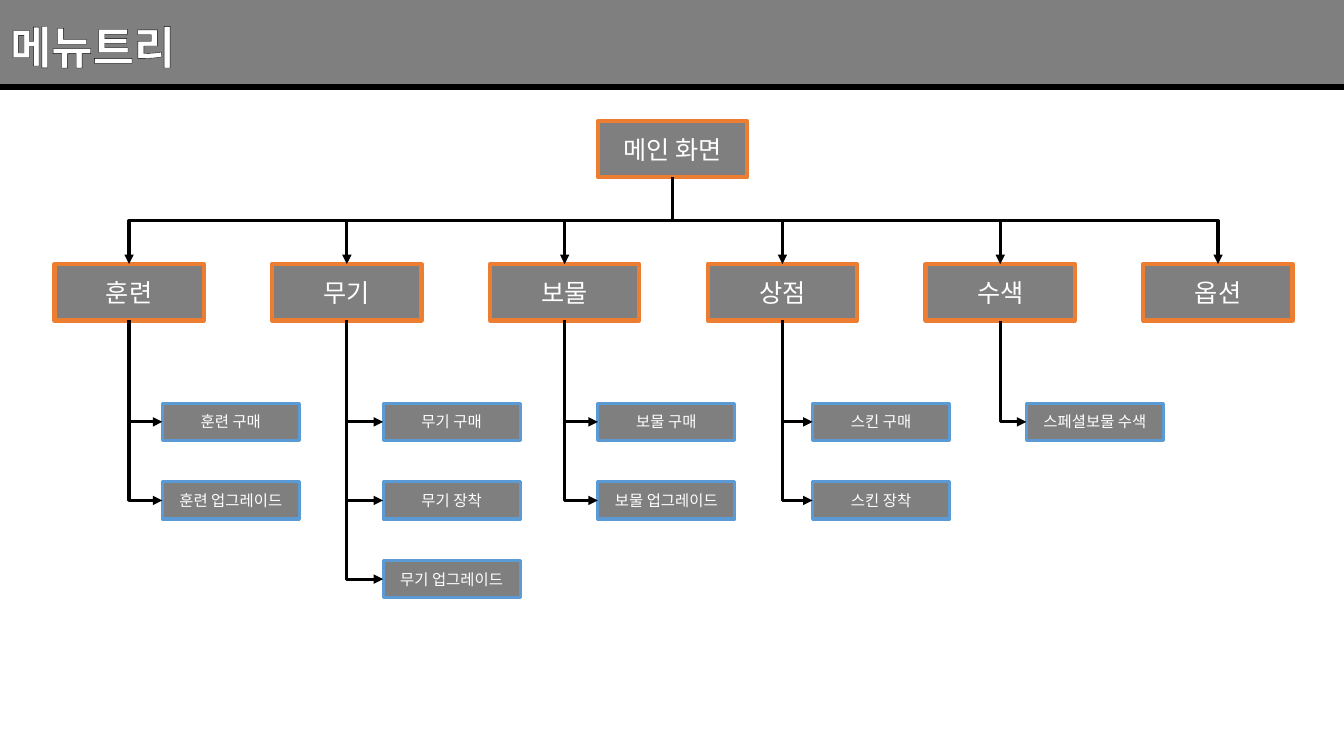
from dataclasses import dataclass

from lxml import etree
from pptx import Presentation
from pptx.dml.color import RGBColor
from pptx.enum import shapes, text
from pptx.oxml.ns import qn
from pptx.util import Inches, Pt


@dataclass(frozen=True)
class Theme:
    font: str = "Noto Sans CJK KR"
    black: RGBColor = RGBColor(0x00, 0x00, 0x00)
    white: RGBColor = RGBColor(0xFF, 0xFF, 0xFF)
    gray: RGBColor = RGBColor(0x7F, 0x7F, 0x7F)
    orange: RGBColor = RGBColor(0xED, 0x7D, 0x31)
    blue: RGBColor = RGBColor(0x5B, 0x9B, 0xD5)
    title_size: float = 32
    menu_size: float = 18
    item_size: float = 11
    arrow_width: float = 2.25


@dataclass(frozen=True)
class BoxStyle:
    width: float
    height: float
    border: RGBColor
    border_width: float
    size: float


@dataclass(frozen=True)
class Menu:
    name: str
    items: tuple[str, ...] = ()
    items_left: float = 0


THEME = Theme()
MENU_STYLE = BoxStyle(1.48, 0.56, THEME.orange, 3, THEME.menu_size)
ITEM_STYLE = BoxStyle(1.36, 0.37, THEME.blue, 2.25, THEME.item_size)
MENUS = (
    Menu("훈련", ("훈련 구매", "훈련 업그레이드"), 1.61),
    Menu("무기", ("무기 구매", "무기 장착", "무기 업그레이드"), 3.8),
    Menu("보물", ("보물 구매", "보물 업그레이드"), 5.93),
    Menu("상점", ("스킨 구매", "스킨 장착"), 8.06),
    Menu("수색", ("스페셜보물 수색",), 10.18),
    Menu("옵션"),
)
SLIDE_WIDTH, SLIDE_HEIGHT = 13.33, 7.5
BAND_HEIGHT = 0.86
MENU_LEFT, MENU_TOP, MENU_STEP = 0.54, 2.62, 2.16
ITEM_TOP, ITEM_STEP = 4, 0.78
TOP_SITE, LEFT_SITE, BOTTOM_SITE = 0, 1, 2


def set_font(font, size: float, bold: bool = False) -> None:
    """Apply the theme font to Latin and Korean glyphs alike."""
    font.name, font.size, font.bold = THEME.font, Pt(size), bold
    font.color.rgb = THEME.white
    etree.SubElement(font._element, qn("a:ea"), typeface=THEME.font)


def add_box(slide, label: str, left: float, top: float, style: BoxStyle):
    box = slide.shapes.add_shape(
        shapes.MSO_SHAPE.RECTANGLE,
        Inches(left), Inches(top), Inches(style.width), Inches(style.height))
    box.shadow.inherit = False
    box.fill.solid()
    box.fill.fore_color.rgb = THEME.gray
    box.line.color.rgb = style.border
    box.line.width = Pt(style.border_width)
    box.text_frame.vertical_anchor = text.MSO_ANCHOR.MIDDLE
    paragraph = box.text_frame.paragraphs[0]
    paragraph.text = label
    paragraph.alignment = text.PP_ALIGN.CENTER
    set_font(paragraph.font, style.size)
    return box


def style_line(line, width: float) -> None:
    line.line.color.rgb = THEME.black
    line.line.width = Pt(width)
    etree.SubElement(line._element.spPr, qn("a:effectLst"))


def add_arrow(slide, parent, child, site: int) -> None:
    """Draw an elbow arrow that leaves the parent's bottom downwards."""
    start_x, start_y = parent.left + parent.width // 2, parent.top + parent.height
    if site == TOP_SITE:
        end_x, end_y, preset = child.left + child.width // 2, child.top, "bentConnector3"
    else:
        end_x, end_y, preset = child.left, child.top + child.height // 2, "bentConnector2"
    arrow = slide.shapes.add_connector(
        shapes.MSO_CONNECTOR.ELBOW, start_x, start_y, end_x, end_y)
    arrow.begin_connect(parent, BOTTOM_SITE)
    arrow.end_connect(child, site)

    # A downward exit is a quarter turn, so the frame's sides are swapped.
    drop, shift = end_y - start_y, abs(end_x - start_x)
    arrow.left, arrow.top = (start_x + end_x - drop) // 2, (start_y + end_y - shift) // 2
    arrow.width, arrow.height = drop, shift
    properties = arrow._element.spPr
    frame = properties.find(qn("a:xfrm"))
    to_right = end_x > start_x
    frame.set("rot", str((270 if to_right else 90) * 60000))
    frame.set("flipH", "1" if to_right else "0")
    frame.set("flipV", "0")
    properties.find(qn("a:prstGeom")).set("prst", preset)
    style_line(arrow, THEME.arrow_width)
    etree.SubElement(arrow.line._get_or_add_ln(), qn("a:tailEnd"), type="triangle")


def add_header(slide, heading: str) -> None:
    band = slide.shapes.add_shape(
        shapes.MSO_SHAPE.RECTANGLE, 0, 0, Inches(SLIDE_WIDTH), Inches(BAND_HEIGHT))
    band.shadow.inherit = False
    band.fill.solid()
    band.fill.fore_color.rgb = THEME.black
    color = band._element.spPr.find(qn("a:solidFill"))[0]
    etree.SubElement(color, qn("a:alpha"), val="50000")
    band.line.fill.background()
    rule = slide.shapes.add_connector(
        shapes.MSO_CONNECTOR.STRAIGHT,
        0, Inches(BAND_HEIGHT), Inches(SLIDE_WIDTH), Inches(BAND_HEIGHT))
    style_line(rule, 4.5)

    title = slide.shapes.title
    title.left, title.top = Inches(0), Inches(0.14)
    title.width, title.height = Inches(5.46), Inches(0.64)
    title.text_frame.vertical_anchor = text.MSO_ANCHOR.TOP
    title.text_frame.auto_size = text.MSO_AUTO_SIZE.SHAPE_TO_FIT_TEXT
    paragraph = title.text_frame.paragraphs[0]
    paragraph.alignment = text.PP_ALIGN.LEFT
    run = paragraph.add_run()
    run.text = heading
    set_font(run.font, THEME.title_size, bold=True)
    outline = etree.Element(qn("a:ln"), w=str(Pt(1.5)))
    fill = etree.SubElement(outline, qn("a:solidFill"))
    etree.SubElement(fill, qn("a:srgbClr"), val=str(THEME.black))
    run.font._element.insert(0, outline)
    rule._element.addnext(title._element)


def add_menu_tree(slide) -> None:
    main_screen = add_box(slide, "메인 화면", 5.93, 1.2, MENU_STYLE)
    for column, menu in enumerate(MENUS):
        menu_box = add_box(
            slide, menu.name, MENU_LEFT + column * MENU_STEP, MENU_TOP, MENU_STYLE)
        add_arrow(slide, main_screen, menu_box, TOP_SITE)
        for row, item in enumerate(menu.items):
            item_box = add_box(
                slide, item, menu.items_left, ITEM_TOP + row * ITEM_STEP, ITEM_STYLE)
            add_arrow(slide, menu_box, item_box, LEFT_SITE)


def main() -> None:
    deck = Presentation()
    deck.slide_width, deck.slide_height = Inches(SLIDE_WIDTH), Inches(SLIDE_HEIGHT)
    title_only = deck.slide_layouts[5]
    slide = deck.slides.add_slide(title_only)
    add_header(slide, "메뉴트리")
    add_menu_tree(slide)
    deck.save("out.pptx")


if __name__ == "__main__":
    main()
